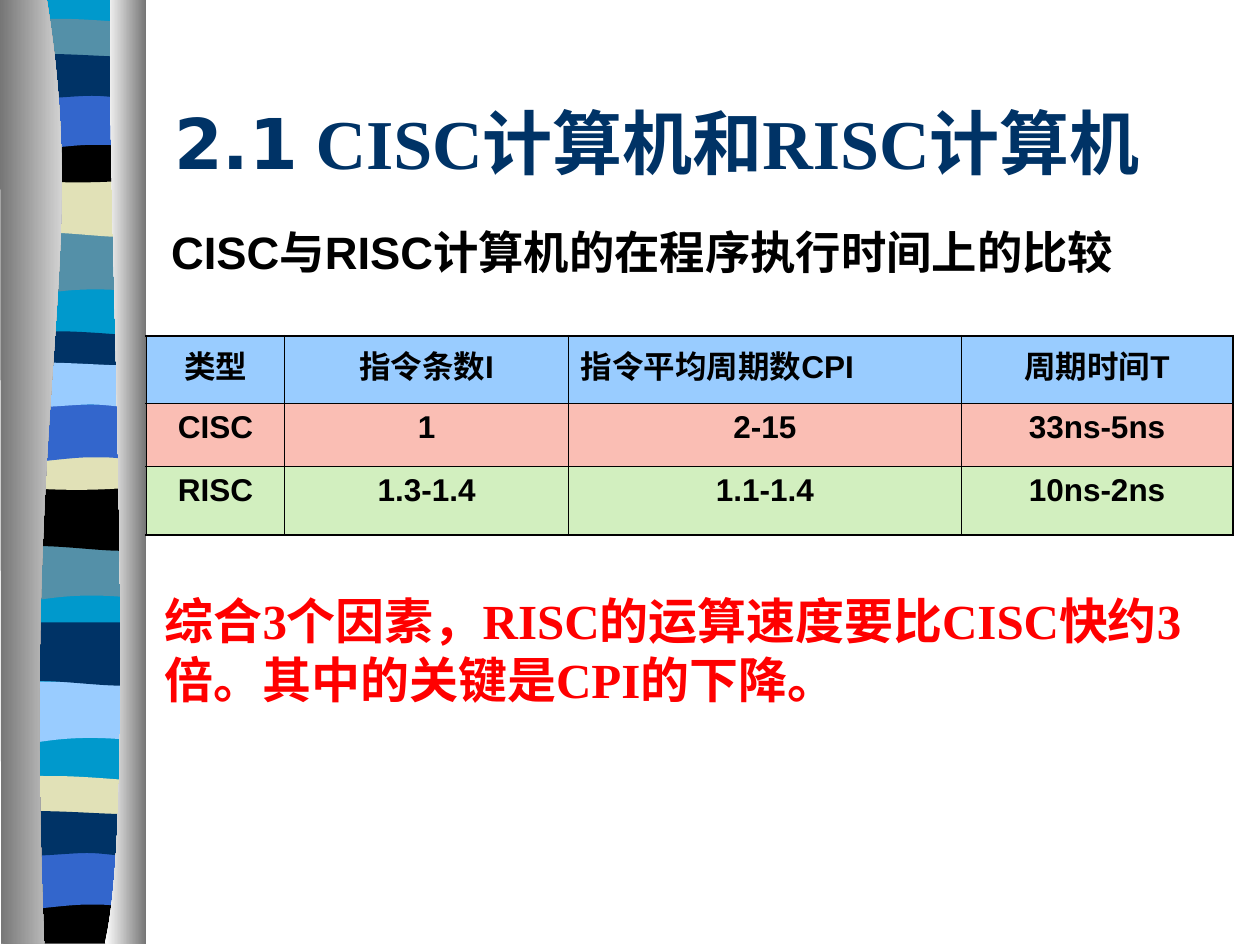
import dataclasses

import lxml.etree
import pptx
import pptx.dml.color
import pptx.enum.text
import pptx.oxml
import pptx.oxml.ns
import pptx.util
from pptx.util import Cm


@dataclasses.dataclass(frozen=True)
class Theme:
    navy: str = "003366"
    cyan: str = "0099CC"
    teal: str = "5490A8"
    cream: str = "E1E1B7"
    blue: str = "3366CC"
    sky: str = "99CCFF"
    black: str = "000000"
    red: str = "FF0000"
    pink: str = "FABEB4"
    green: str = "D2EFBF"
    grey: str = "767676"
    white: str = "FFFFFF"
    title_size: float = 40
    subtitle_size: float = 25.9
    table_size: float = 18
    conclusion_size: float = 28
    number_font: str = "DejaVu Sans"
    serif: str = "Times New Roman"
    sans: str = "Arial"


THEME = Theme()
ART_UNIT = 0.0254

BAND_OUTLINES = {
    "tail": [(105, 0), (105, 47), (33, 39, 18, 55, 0, 47), (0, 0)],
    "wave": [(105, 0), (105, 48), (88, 55, 32, 42, 0, 48), (0, 0)],
    "dome": [(105, 5), (105, 29), (88, 33, 18, 33, 0, 29), (0, 5),
             (7, 0, 23, 1, 40, 1), (58, 1, 92, 4, 105, 5)],
    "dip": [(105, 0), (105, 33), (88, 38, 18, 38, 0, 33), (0, 0),
            (65, 5, 84, 0, 105, 0)],
    "foot": [(105, 0), (105, 37), (0, 37), (0, 0), (65, 5, 84, 0, 105, 0)],
    "arch": [(105, 0), (105, 47), (89, 42, 82, 42, 64, 42),
             (47, 42, 16, 47, 0, 47), (0, 0)],
    "swell": [(105, 5), (105, 36), (98, 41, 82, 36, 64, 36),
              (47, 36, 11, 41, 0, 36), (0, 5), (15, 0, 71, 5, 89, 5),
              (106, 5, 102, 5, 105, 5)],
    "base": [(105, 0), (105, 748), (0, 748), (0, 0)],
}
BANDS = [
    ("base", 9, -1, THEME.cyan),
    ("tail", 9, 185, THEME.teal), ("wave", 10, 138, THEME.cream),
    ("dome", 10, 14, THEME.teal), ("dip", 9, 108, THEME.black),
    ("arch", 9, 73, THEME.blue), ("swell", 9, 40, THEME.navy),
    ("tail", 6, 428, THEME.teal), ("wave", 8, 387, THEME.black),
    ("dome", 8, 262, THEME.navy), ("dip", 8, 352, THEME.cream),
    ("arch", 8, 321, THEME.blue), ("swell", 8, 285, THEME.sky),
    ("tail", 5, 541, THEME.sky), ("wave", 7, 494, THEME.navy),
    ("dome", 6, 615, THEME.cream), ("foot", 6, 712, THEME.black),
    ("arch", 5, 676, THEME.blue), ("swell", 5, 641, THEME.navy),
]
PILLARS = [
    ([(37, -1), (72, 216, 17, 296, 35, 749), (1, 749), (0, -1)],
     (THEME.grey, THEME.white)),
    ([(88, -1), (83, 125, 111, 646, 83, 749), (116, 749), (116, 0)],
     (THEME.white, THEME.grey)),
]


def rgb(value):
    return pptx.dml.color.RGBColor.from_string(value)


def bend_segments(shape, outline):
    lines = list(shape.element.iter(pptx.oxml.ns.qn("a:lnTo")))
    for segment in outline[1:]:
        parts = [lines.pop(0) for _ in range(len(segment) // 2)]
        if len(parts) == 3:
            curve = lxml.etree.Element(pptx.oxml.ns.qn("a:cubicBezTo"))
            parts[0].addprevious(curve)
            for part in parts:
                curve.append(part[0])
                part.getparent().remove(part)


def add_outline(shapes, outline, left, top):
    points = [segment[i:i + 2] for segment in outline
              for i in range(0, len(segment), 2)]
    builder = shapes.build_freeform(*points[0], scale=Cm(ART_UNIT))
    builder.add_line_segments(points[1:], close=True)
    shape = builder.convert_to_shape(left, top)
    bend_segments(shape, outline)
    shape.shadow.inherit = False
    shape.line.fill.background()
    return shape


def add_ribbon(slide, left, top):
    shapes = slide.shapes.add_group_shape().shapes
    for outline, x, y, color in BANDS:
        band = add_outline(shapes, BAND_OUTLINES[outline],
                           left + Cm(x * ART_UNIT), top + Cm(y * ART_UNIT))
        band.fill.solid()
        band.fill.fore_color.rgb = rgb(color)
    for outline, colors in PILLARS:
        pillar = add_outline(shapes, outline, left, top)
        pillar.fill.gradient()
        pillar.fill.gradient_angle = 0
        for stop, color in zip(pillar.fill.gradient_stops, colors):
            stop.color.rgb = rgb(color)


def format_runs(paragraph, font_name, size, color):
    for run in paragraph.runs:
        run.font.name = font_name
        run.font.size = pptx.util.Pt(size)
        run.font.bold = True
        run.font.color.rgb = rgb(color)


def place_title(slide, left, top, width, height):
    title = slide.shapes.title
    title.left, title.top, title.width, title.height = left, top, width, height
    frame = title.text_frame
    frame.auto_size = pptx.enum.text.MSO_AUTO_SIZE.NONE
    frame.vertical_anchor = pptx.enum.text.MSO_ANCHOR.MIDDLE
    frame.text = "2.1"
    paragraph = frame.paragraphs[0]
    paragraph.alignment = pptx.enum.text.PP_ALIGN.LEFT
    paragraph.add_run().text = " CISC计算机和RISC计算机"
    format_runs(paragraph, THEME.serif, THEME.title_size, THEME.navy)
    paragraph.runs[0].font.name = THEME.number_font


def add_statement(slide, left, top, width, height, text, font_name, size, color):
    frame = slide.shapes.add_textbox(left, top, width, height).text_frame
    frame.word_wrap = True
    frame.text = text
    paragraph = frame.paragraphs[0]
    paragraph.space_before = pptx.util.Pt(17.5)
    format_runs(paragraph, font_name, size, color)


def set_borders(cell, widths):
    properties = cell._tc.get_or_add_tcPr()
    for index, (side, width) in enumerate(widths.items()):
        properties.insert(index, pptx.oxml.parse_xml(
            f'<a:{side} {pptx.oxml.ns.nsdecls("a")} w="{pptx.util.Pt(width)}">'
            f'<a:solidFill><a:srgbClr val="{THEME.black}"/></a:solidFill></a:{side}>'))


def add_comparison_table(slide, left, top, width, height):
    rows = [
        (THEME.sky, 1.37, ["类型", "指令条数I", "指令平均周期数CPI", "周期时间T"]),
        (THEME.pink, 1.27, ["CISC", "1", "2-15", "33ns-5ns"]),
        (THEME.green, 1.37, ["RISC", "1.3-1.4", "1.1-1.4", "10ns-2ns"]),
    ]
    column_widths = [2.79, 5.72, 7.92, 5.47]
    last_row, last_column = len(rows) - 1, len(column_widths) - 1
    table = slide.shapes.add_table(len(rows), len(column_widths),
                                   left, top, width, height).table
    table.first_row = table.horz_banding = False
    for column, column_width in zip(table.columns, column_widths):
        column.width = Cm(column_width)
    thin, thick = 0.45, 1.08
    for i, (color, row_height, texts) in enumerate(rows):
        table.rows[i].height = Cm(row_height)
        for j, text in enumerate(texts):
            cell = table.cell(i, j)
            cell.text = text
            cell.margin_left = cell.margin_right = Cm(0.25)
            cell.fill.solid()
            cell.fill.fore_color.rgb = rgb(color)
            paragraph = cell.text_frame.paragraphs[0]
            paragraph.space_before = pptx.util.Pt(4.5)
            paragraph.alignment = (pptx.enum.text.PP_ALIGN.LEFT if (i, j) == (0, 2)
                                   else pptx.enum.text.PP_ALIGN.CENTER)
            format_runs(paragraph, THEME.sans, THEME.table_size, THEME.black)
            set_borders(cell, {"lnL": thick if j == 0 else thin,
                               "lnR": thick if j == last_column else thin,
                               "lnT": thick if i == 0 else thin,
                               "lnB": thick if i == last_row else thin})


def main():
    presentation = pptx.Presentation()
    presentation.slide_width, presentation.slide_height = Cm(25.4), Cm(19.05)
    slide = presentation.slides.add_slide(presentation.slide_layouts[5])
    add_ribbon(slide, Cm(0), Cm(0))
    place_title(slide, Cm(3.26), Cm(1.27), Cm(21.59), Cm(3.18))
    add_statement(slide, Cm(3.2), Cm(4.39), Cm(21.69), Cm(2.16),
                  "CISC与RISC计算机的在程序执行时间上的比较",
                  THEME.sans, THEME.subtitle_size, THEME.black)
    add_comparison_table(slide, Cm(2.95), Cm(6.77), Cm(21.9), Cm(4.01))
    add_statement(slide, Cm(3.07), Cm(11.78), Cm(21.13), Cm(2.64),
                  "综合3个因素，RISC的运算速度要比CISC快约3倍。其中的关键是CPI的下降。",
                  THEME.serif, THEME.conclusion_size, THEME.red)
    presentation.save("out.pptx")


if __name__ == "__main__":
    main()
